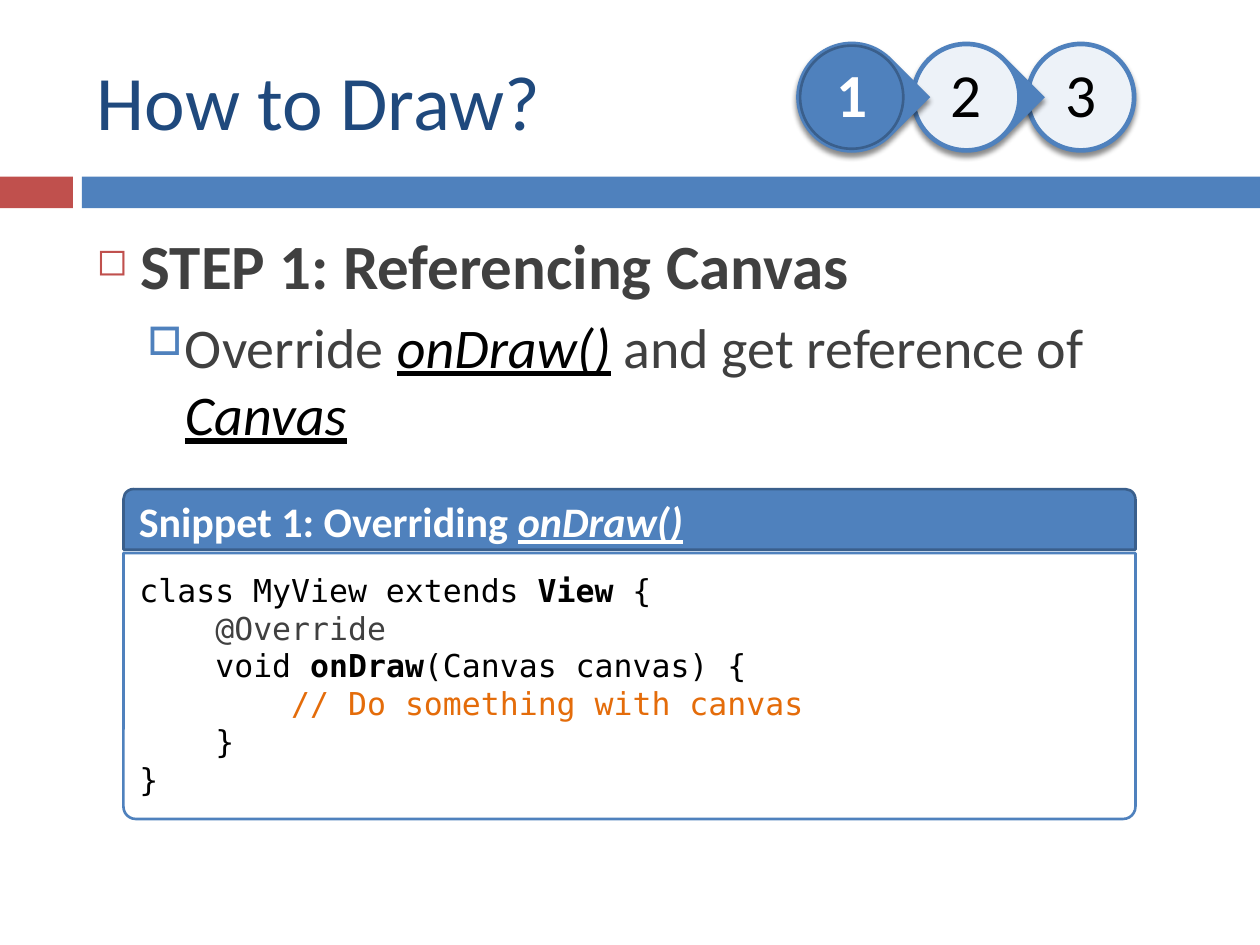
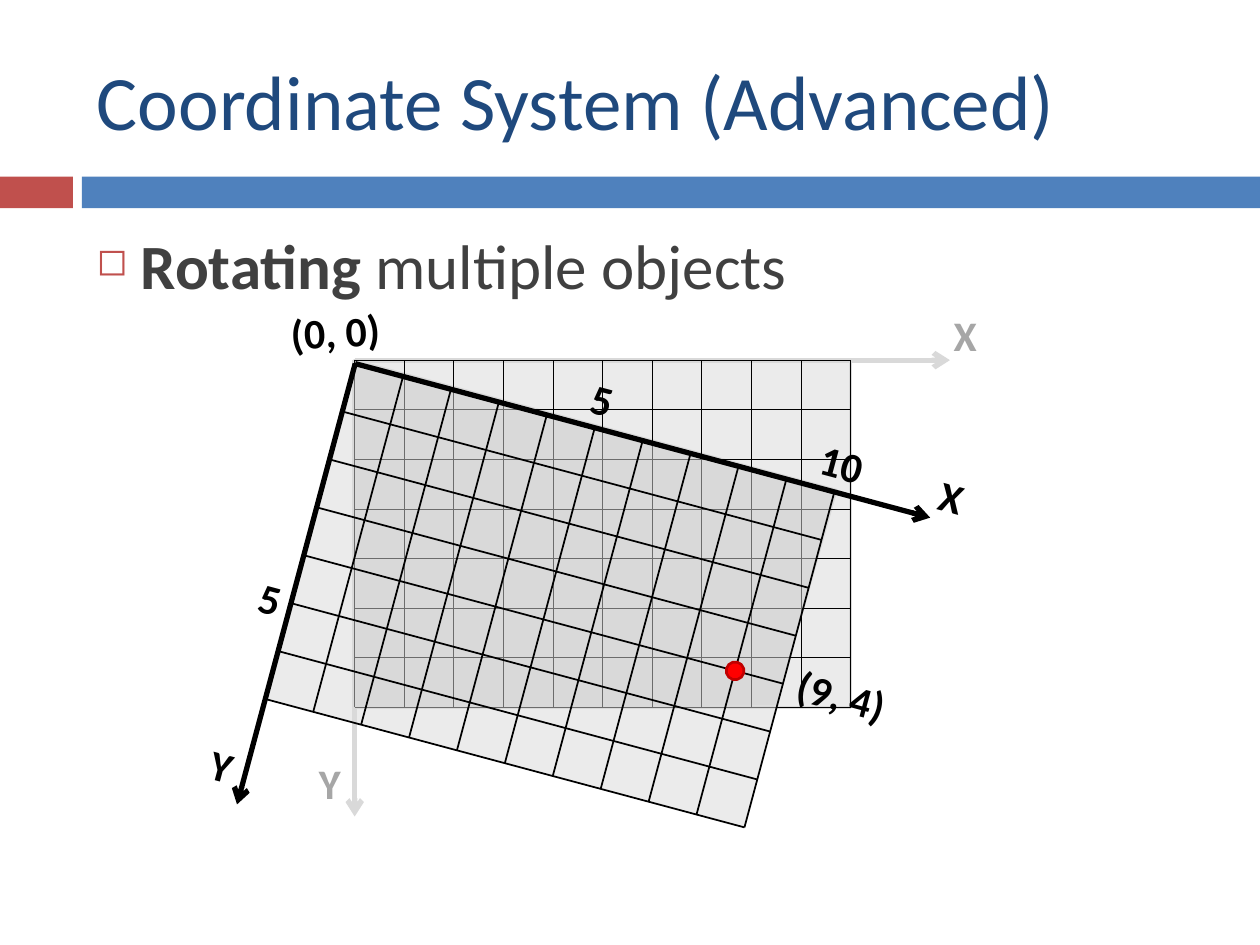
from math import cos, radians, sin

from lxml import etree
from pptx import Presentation
from pptx.dml.color import RGBColor
from pptx.enum.shapes import MSO_CONNECTOR, MSO_SHAPE
from pptx.enum.text import MSO_ANCHOR, PP_ALIGN
from pptx.oxml.ns import qn
from pptx.util import Cm, Pt

RECTANGLE, ELLIPSE = MSO_SHAPE.RECTANGLE, MSO_SHAPE.OVAL
TEARDROP, ROUND_TOP = MSO_SHAPE.TEAR, MSO_SHAPE.ROUND_2_SAME_RECTANGLE
STRAIGHT = MSO_CONNECTOR.STRAIGHT
MIDDLE = MSO_ANCHOR.MIDDLE
LEFT, CENTER = PP_ALIGN.LEFT, PP_ALIGN.CENTER

SANS, MONO = "Calibri", "DejaVu Sans Mono"
BLUE, DARK_BLUE, NAVY = "4F81BD", "3A5F8C", "1F497D"
RED, ORANGE = "C0504D", "E46C0A"
BLACK, WHITE, TEXT_GRAY = "000000", "FFFFFF", "404040"
LIGHT_GRAY, LABEL_GRAY = "D9D9D9", "A6A6A6"

# Text is a list of spans: (text, font settings that differ from the paragraph)
BOLD = {"bold": True}
TERM = {"italic": True, "underline": True}
BLACK_TERM = {**TERM, "color": BLACK}

# Bullet levels: size, space before, left margin, hanging indent, mark, colour, percent
BULLETS = [
    (36, 7, 0.89, -0.89, "◻", RED, 60),
    (32, 5.5, 1.78, -0.76, "□", BLUE, 70),
]

DRAW_TITLE = "How to Draw?"
DRAW_POINTS = [
    (0, [("STEP 1: Referencing Canvas", BOLD)]),
    (1, [("Override ", {}), ("onDraw()", BLACK_TERM),
         (" and get reference of ", {}), ("Canvas", BLACK_TERM)]),
]
STEPS, CURRENT_STEP = ["1", "2", "3"], "1"
SNIPPET_TITLE = [("Snippet 1: Overriding ", {}), ("onDraw()", TERM)]
SNIPPET_LINES = [
    (0, [("class MyView extends ", {}), ("View", BOLD), (" {", {})]),
    (1, [("@Override", {"color": TEXT_GRAY})]),
    (1, [("void ", {}), ("onDraw", BOLD), ("(Canvas canvas) {", {})]),
    (2, [("// Do something with canvas", {"color": ORANGE})]),
    (1, [("}", {})]),
    (0, [("}", {})]),
]
CODE_INDENT = 1.53

ROTATE_TITLE = "Coordinate System (Advanced)"
ROTATE_POINTS = [(0, [("Rotating", BOLD), (" multiple objects", {})])]
COLUMNS, ROWS = 10, 7                 # grid cells of 1 cm
X_AXIS, Y_AXIS = 12, 9.2
# Labels: text, x and y of the centre on the grid, width
AXIS_LABELS = [("X", 12.31, -0.52, 1.07), ("Y", -0.5, 8.52, 1.02)]
POINT_LABELS = [("5", 5, -0.6, 0.97), ("10", 10, -0.6, 1.42),
                ("5", -0.43, 5, 0.97), ("(9, 4)", 11.2, 3.92, 2.41)]
ORIGIN_LABEL, ORIGIN_ANGLE = ("(0, 0)", -0.56, -0.53, 2.41), -3.4
MARKED_POINT = (9, 4)
OVERLAP = [(7.14, 7.24), (16.89, 9.86), (15.67, 14.22), (7.14, 14.27)]


def color(value):
    return RGBColor.from_string(value)


def add_element(parent, tag, **attributes):
    element = etree.SubElement(parent, qn(tag))
    for name, value in attributes.items():
        element.set(name, str(value))
    return element


def style_font(font, size=None, name=None, color_hex=None, bold=None):
    font.size, font.name, font.bold = Pt(size), name, bold
    font.color.rgb = color(color_hex)


def write_spans(para, spans):
    for text, settings in spans:
        span = para.add_run()
        span.text = text
        for name, value in settings.items():
            if name == "color":
                span.font.color.rgb = color(value)
            else:
                setattr(span.font, name, value)


def set_indent(para, margin, hanging=0):
    properties = para._p.get_or_add_pPr()
    properties.set("marL", str(Cm(margin)))
    properties.set("indent", str(Cm(hanging)))
    return properties


def write_paragraphs(frame, count):
    """Yield the given number of paragraphs, starting with the frame's own."""
    for index in range(count):
        yield frame.paragraphs[0] if index == 0 else frame.add_paragraph()


def add_box(page, kind, left, top, width, height, fill, line=None, weight=1.5,
            opacity=None, adjustments=()):
    box = page.shapes.add_shape(kind, Cm(left), Cm(top), Cm(width), Cm(height))
    box.shadow.inherit = False
    box.fill.solid()
    box.fill.fore_color.rgb = color(fill)
    if opacity is not None:
        fill_color = box._element.spPr.find(qn("a:solidFill"))[0]
        add_element(fill_color, "a:alpha", val=opacity * 1000)
    if line:
        box.line.color.rgb = color(line)
        box.line.width = Pt(weight)
    else:
        box.line.fill.background()
    for index, value in enumerate(adjustments):
        box.adjustments[index] = value
    return box


def add_line(page, start, end, line, weight, arrow=False):
    ends = [Cm(value) for value in (*start, *end)]
    connector = page.shapes.add_connector(STRAIGHT, *ends)
    connector.line.color.rgb = color(line)
    connector.line.width = Pt(weight)
    if arrow:
        add_element(connector.line._get_or_add_ln(), "a:tailEnd", type="arrow")
    add_element(connector._element.spPr, "a:effectLst")


def add_page(deck, title, points):
    """Add a slide with its title, bands and bulleted points."""
    page = deck.slides.add_slide(deck.slide_layouts[5])
    add_box(page, RECTANGLE, 0, 3.56, 1.47, 0.64, RED)
    add_box(page, RECTANGLE, 1.65, 3.56, 23.75, 0.64, BLUE)

    heading = page.shapes.title
    heading.left, heading.top = Cm(1.7), Cm(0.64)
    heading.width, heading.height = Cm(22.66), Cm(2.74)
    heading.text_frame.text = title
    heading.text_frame.vertical_anchor = MIDDLE
    para = heading.text_frame.paragraphs[0]
    para.alignment = LEFT
    style_font(para.font, 44, SANS, NAVY)

    body = page.shapes.add_textbox(Cm(1.7), Cm(4.45), Cm(22.66), Cm(12.5))
    body.text_frame.word_wrap = True
    paras = write_paragraphs(body.text_frame, len(points))
    for para, (level, spans) in zip(paras, points):
        size, before, margin, hanging, mark, mark_color, percent = BULLETS[level]
        para.level = level
        para.space_before = Pt(before)
        properties = set_indent(para, margin, hanging)
        bullet_color = add_element(properties, "a:buClr")
        add_element(bullet_color, "a:srgbClr", val=mark_color)
        add_element(properties, "a:buSzPct", val=percent * 1000)
        add_element(properties, "a:buChar", char=mark)
        style_font(para.font, size, SANS, TEXT_GRAY)
        write_spans(para, spans)
    return page


def add_soft_shadow(box):
    effects = box._element.spPr.find(qn("a:effectLst"))
    shadow = add_element(effects, "a:outerShdw", blurRad=Pt(3), dist=Pt(2.4),
                         dir=90 * 60000, rotWithShape=0)
    shade = add_element(shadow, "a:srgbClr", val=BLACK)
    add_element(shade, "a:alpha", val=45000)


def add_step_tracker(page):
    left, top, pitch, size, rim = 16.05, 0.84, 2.31, 2.24, 0.08
    for index, step in reversed(list(enumerate(STEPS))):
        x = left + index * pitch
        is_last, is_current = step == STEPS[-1], step == CURRENT_STEP
        ring = add_box(page, ELLIPSE if is_last else TEARDROP,
                       x, top, size, size, BLUE)
        ring.rotation = 0 if is_last else 45
        add_soft_shadow(ring)

        look = ({"fill": BLUE, "line": DARK_BLUE} if is_current else
                {"fill": WHITE, "line": BLUE, "weight": 0.79, "opacity": 90})
        disc = add_box(page, ELLIPSE, x + rim, top + rim,
                       size - 2 * rim, size - 2 * rim, **look)
        frame = disc.text_frame
        frame.margin_left = frame.margin_right = 0
        frame.margin_top = frame.margin_bottom = 0
        frame.vertical_anchor = MIDDLE
        frame.text = step
        para = frame.paragraphs[0]
        para.alignment, para.line_spacing = CENTER, 0.9
        style_font(para.font, 35, SANS, WHITE if is_current else BLACK, is_current)


def add_snippet(page):
    left, width = 2.49, 20.4
    code = add_box(page, ROUND_TOP, left, 11.15, width, 5.36, WHITE, BLUE,
                   adjustments=(0, 0.046))
    header = add_box(page, ROUND_TOP, left, 9.86, width, 1.22, BLUE, DARK_BLUE,
                     adjustments=(0.166, 0))
    for box in (code, header):
        box.text_frame.vertical_anchor = MIDDLE

    paras = write_paragraphs(code.text_frame, len(SNIPPET_LINES))
    for para, (depth, spans) in zip(paras, SNIPPET_LINES):
        para.alignment = LEFT
        set_indent(para, depth * CODE_INDENT)
        style_font(para.font, 18, MONO, BLACK)
        write_spans(para, spans)

    para = header.text_frame.paragraphs[0]
    para.alignment = LEFT
    style_font(para.font, 24, SANS, WHITE, True)
    write_spans(para, SNIPPET_TITLE)


class Grid:
    """A coordinate grid turned clockwise about its origin."""

    def __init__(self, page, left, top, angle=0):
        self.page, self.left, self.top, self.angle = page, left, top, angle

    def point(self, x, y):
        turn = radians(self.angle)
        return (self.left + x * cos(turn) - y * sin(turn),
                self.top + x * sin(turn) + y * cos(turn))

    def add_centred(self, kind, x, y, width, height, *colors, **options):
        center_x, center_y = self.point(x, y)
        box = add_box(self.page, kind, center_x - width / 2, center_y - height / 2,
                      width, height, *colors, **options)
        box.rotation = self.angle

    def add_sheet(self, axis_color, line_weight, border=None):
        self.add_centred(RECTANGLE, COLUMNS / 2, ROWS / 2, COLUMNS, ROWS,
                         LIGHT_GRAY, border, opacity=50)
        for end in ((0, Y_AXIS), (X_AXIS, 0)):
            add_line(self.page, self.point(0, 0), self.point(*end),
                     axis_color, 3, arrow=True)
        rules = [((x, 0), (x, ROWS)) for x in range(COLUMNS + 1)]
        rules += [((0, y), (COLUMNS, y)) for y in range(ROWS + 1)]
        for start, end in rules:
            add_line(self.page, self.point(*start), self.point(*end),
                     BLACK, line_weight)

    def add_label(self, text, x, y, width, color_hex=BLACK, angle=None):
        center_x, center_y = self.point(x, y)
        height = 1.27
        label = self.page.shapes.add_textbox(
            Cm(center_x - width / 2), Cm(center_y - height / 2),
            Cm(width), Cm(height))
        label.rotation = self.angle if angle is None else angle
        label.text_frame.word_wrap = False
        label.text_frame.text = text
        para = label.text_frame.paragraphs[0]
        para.alignment = CENTER
        style_font(para.font, 24, SANS, color_hex, True)


def add_rotated_grids(page):
    corners = [(Cm(x), Cm(y)) for x, y in OVERLAP]
    builder = page.shapes.build_freeform(*corners[0])
    builder.add_line_segments(corners[1:], close=True)
    overlap = builder.convert_to_shape()
    overlap.shadow.inherit = False
    overlap.fill.solid()
    overlap.fill.fore_color.rgb = color(LIGHT_GRAY)
    overlap.line.fill.background()

    plain = Grid(page, 7.15, 7.26)
    plain.add_sheet(LIGHT_GRAY, 0.5, LIGHT_GRAY)
    for label in AXIS_LABELS:
        plain.add_label(*label, color_hex=LABEL_GRAY)

    turned = Grid(page, 7.16, 7.33, 15)
    turned.add_sheet(BLACK, 1)
    for label in AXIS_LABELS + POINT_LABELS:
        turned.add_label(*label)
    turned.add_label(*ORIGIN_LABEL, angle=ORIGIN_ANGLE)
    turned.add_centred(ELLIPSE, *MARKED_POINT, 0.36, 0.36, "FF0000", "C00000")


def main():
    deck = Presentation()
    deck.slide_width, deck.slide_height = Cm(25.4), Cm(19.05)

    draw_page = add_page(deck, DRAW_TITLE, DRAW_POINTS)
    add_snippet(draw_page)
    add_step_tracker(draw_page)

    add_rotated_grids(add_page(deck, ROTATE_TITLE, ROTATE_POINTS))
    deck.save("out.pptx")


if __name__ == "__main__":
    main()
